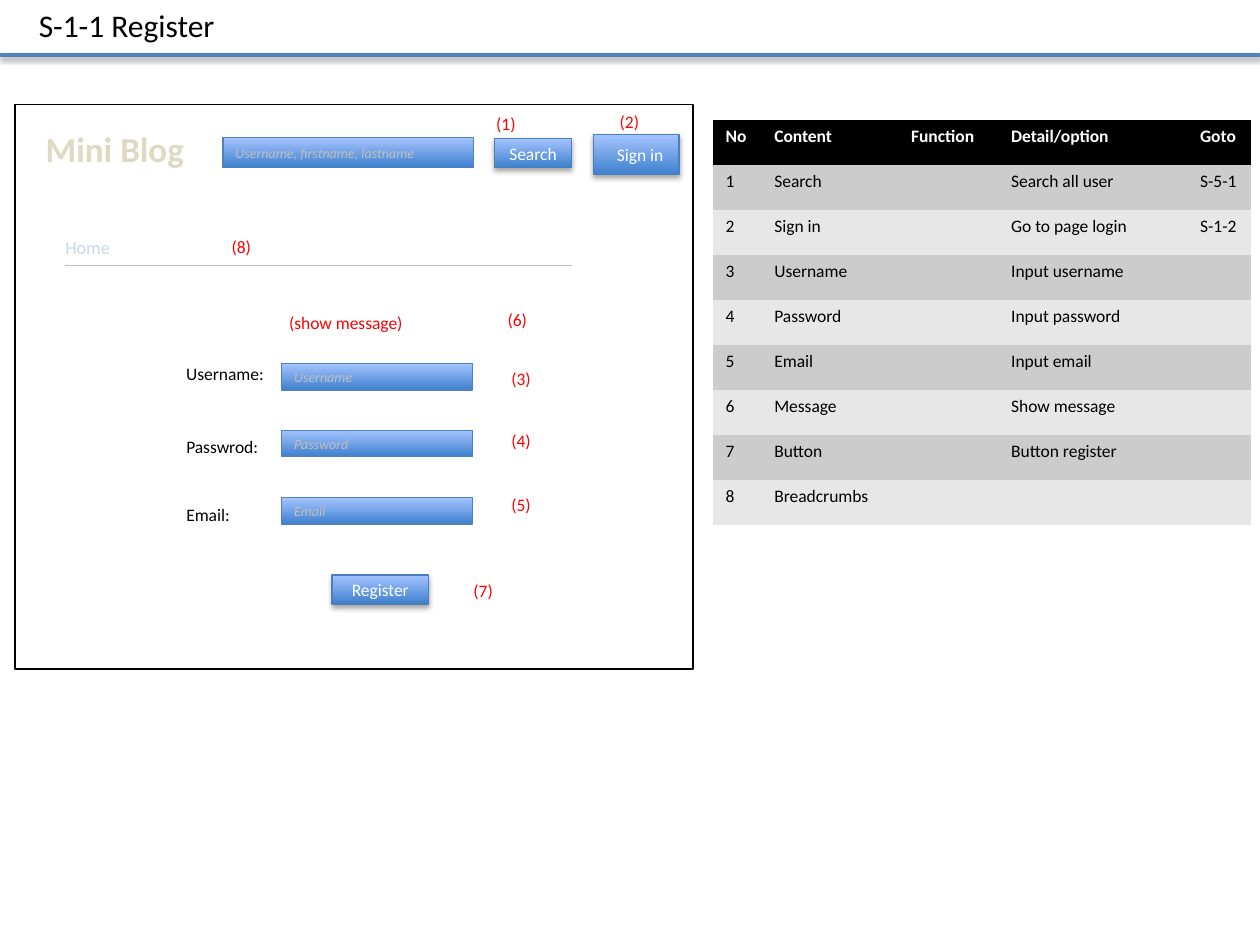
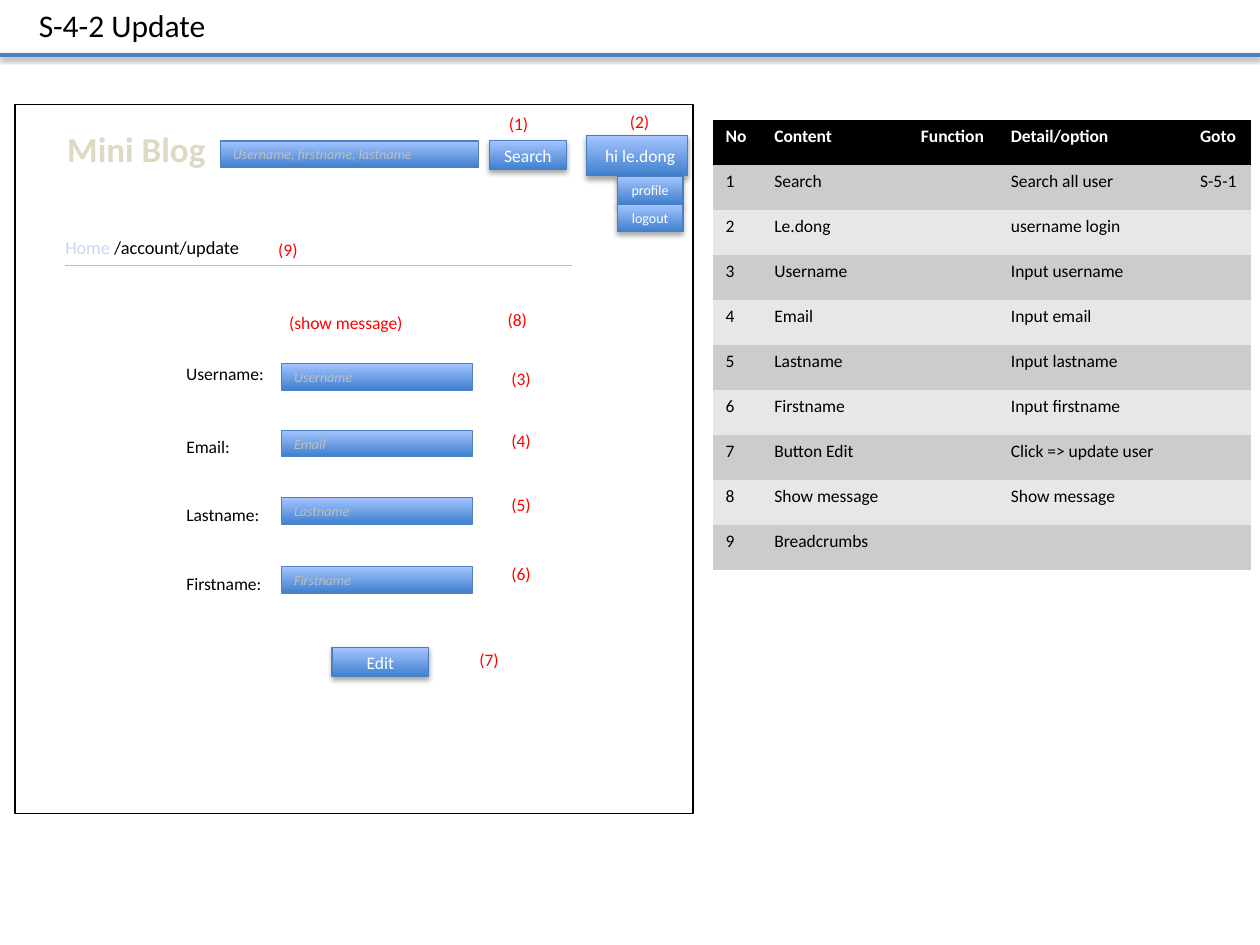
from lxml import etree
from pptx import Presentation
from pptx import util as u
from pptx.dml.color import RGBColor
from pptx.enum import shapes, text
from pptx.oxml.ns import qn

COLS, ROWS = 1000, 750  # the slide's grid
FONT = "Calibri"
INK = {
    "black": "000000", "white": "FFFFFF", "mark": "FF0000", "rule": "4F81BD",
    "edge": "4B7EBC", "deep": "3F80CE", "light": "A4C4FF", "hint": "BFBFBF",
    "link": "C6D9F1", "logo": "DDD9C3", "odd": "CCCCCC", "even": "E7E7E7",
}
LEFT, MID, RIGHT = text.PP_ALIGN.LEFT, text.PP_ALIGN.CENTER, text.PP_ALIGN.RIGHT
PLAIN = "{2D5ABB26-0587-4C30-8999-92F81FD0307C}"  # no style, no grid

deck = Presentation()
deck.slide_width, deck.slide_height = u.Inches(10), u.Inches(7.5)


def rgb(name):
    """Colour object for a named ink."""
    return RGBColor.from_string(INK[name])


def x(cols):
    """Length of a number of grid columns."""
    return int(deck.slide_width * cols / COLS)


def y(rows):
    """Length of a number of grid rows."""
    return int(deck.slide_height * rows / ROWS)


def place(box, left, top, wide=0, high=0):
    """Slide lengths of a part at a grid offset inside a box."""
    return x(box[0] + left), y(box[1] + top), x(wide), y(high)


def style(par, size, ink, bold=False, ital=False, align=LEFT):
    """Format every run of a paragraph."""
    par.alignment = align
    for run in par.runs:
        font = run.font
        font.name, font.size = FONT, u.Pt(size)
        font.bold, font.italic = bold, ital
        font.color.rgb = rgb(ink)


def shade(shape, dist=0, alpha=0):
    """Replace the theme shadow by a soft drop, or by none."""
    props = shape._element.spPr
    list_ = etree.SubElement(props, qn("a:effectLst"))
    if dist:
        drop = etree.SubElement(list_, qn("a:outerShdw"), blurRad=str(u.Pt(3.1)),
                                dist=str(u.Pt(dist)), dir="5400000", rotWithShape="0")
        tint = etree.SubElement(drop, qn("a:srgbClr"), val=INK["black"])
        etree.SubElement(tint, qn("a:alpha"), val=str(alpha * 1000))


def line(slide, box, left, top, wide, ink, size):
    """Draw a level line."""
    x0, y0, run, _ = place(box, left, top, wide)
    rule = slide.shapes.add_connector(shapes.MSO_CONNECTOR.STRAIGHT, x0, y0, x0 + run, y0)
    rule.line.color.rgb, rule.line.width = rgb(ink), u.Pt(size)
    return rule


def label(slide, box, words, left, top, wide, high=27, size=10, ink="black", bold=False):
    """Write one unwrapped line of text."""
    note = slide.shapes.add_textbox(*place(box, left, top, wide, high))
    frame = note.text_frame
    frame.text = words
    frame.word_wrap = False
    frame.auto_size = text.MSO_AUTO_SIZE.SHAPE_TO_FIT_TEXT
    style(frame.paragraphs[0], size, ink, bold)
    return frame.paragraphs[0]


def mark(slide, box, num, left, top):
    """Write a red call-out number."""
    label(slide, box, f"({num})", left, top, 36, ink="mark")


def block(slide, box, spot, edge):
    """Draw an outlined rectangle."""
    rect = slide.shapes.add_shape(shapes.MSO_SHAPE.RECTANGLE, *place(box, *spot))
    rect.line.color.rgb, rect.line.width = rgb(edge), u.Pt(0.75)
    return rect


def glossy(slide, box, words, spot, edge, **look):
    """Draw a rectangle with a blue gradient and one line of text."""
    rect = block(slide, box, spot, edge)
    rect.fill.gradient()
    rect.fill.gradient_angle = 90
    for stop, ink in zip(rect.fill.gradient_stops, ("deep", "light")):
        stop.color.rgb = rgb(ink)
    frame = rect.text_frame
    frame.text = words
    frame.word_wrap = True
    frame.vertical_anchor = text.MSO_ANCHOR.MIDDLE
    style(frame.paragraphs[0], **look)
    return rect


def field(slide, box, hint, *spot):
    """Draw an input with its grey hint."""
    shade(glossy(slide, box, hint, spot, "rule", size=8, ink="hint", ital=True))


def button(slide, box, words, spot, size=10, align=MID, inset=10):
    """Draw a raised button."""
    rect = glossy(slide, box, words, spot, "edge", size=size, ink="white", align=align)
    rect.text_frame.margin_left = x(inset)
    shade(rect, 1.8, 35)


def header(slide, box, words, wide):
    """Write the page title above its full-width rule."""
    shade(line(slide, box, 0, box[3], box[2], "rule", 2), 1.6, 38)
    label(slide, box, words, 21, 0, wide, 40, size=18)


def topbar(slide, box, page):
    """Place the blog name, search, account button and its menu."""
    label(slide, box, "Mini Blog", page["logo"], 13, 130, 43, 20, "logo", True)
    field(slide, box, "Username, firstname, lastname", *page["find"])
    button(slide, box, "Search", page["go"])
    words, spot, align, inset = page["user"]
    button(slide, box, words, spot, align=align, inset=inset)
    for num, (left, top) in enumerate(page["tops"], 1):
        mark(slide, box, num, left, top)
    for i, item in enumerate(page["menu"]):
        button(slide, box, item, (478, 57 + 22 * i, 52, 22), 8)


def crumbs(slide, box, page):
    """Place the breadcrumb over a thin line."""
    tail, wide, num, left, top = page["crumb"]
    shade(line(slide, box, 40, 127.4, 402, "hint", 0.25))
    par = label(slide, box, "Home", 30, 99.4, wide, 28, 10.5, "link")
    if tail:
        run = par.add_run()
        run.text = tail
        style(par, 10.5, "link")
        run.font.color.rgb = rgb("black")
    mark(slide, box, num, left, top)


def form(slide, box, page):
    """Place the message, the labelled inputs and the send button."""
    label(slide, box, "(show message)", 207.6, 159.4, 112, ink="mark")
    mark(slide, box, page["note"], 381, 157.5)
    # tops of the label, the input and the mark in each row
    tops = [(200, 205.6, 204), (258, 258.4, 253.5), (312, 312, 304), (367, 366.6, 359)]
    for i, ((name, wide, hint), (low, mid, high)) in enumerate(zip(page["form"], tops)):
        label(slide, box, name, 126, low, wide)
        field(slide, box, hint, 211.6, mid, 151.4, 21)
        mark(slide, box, 3 + i, 384, high)
    words, top, left, high = page["send"]
    button(slide, box, words, (251.6, top, 76.4, 23), 10)
    mark(slide, box, 7, left, high)


def mockup(slide, box, page):
    """Draw the framed screen sketch."""
    panel = block(slide, box, (0, 0, *box[2:]), "black")
    panel.fill.solid()
    panel.fill.fore_color.rgb = rgb("white")
    shade(panel)
    topbar(slide, box, page)
    crumbs(slide, box, page)
    form(slide, box, page)


def grid(slide, box, cols, body):
    """Place the table that explains the numbers."""
    head = ("No", "Content", "Function", "Detail/option", "Goto")
    rows = [head] + [(str(i), a, "", b, c) for i, (a, b, c) in enumerate(body, 1)]
    high = box[3] * len(rows)
    table = slide.shapes.add_table(len(rows), len(head), *place(box, 0, 0, box[2], high)).table
    table._tbl.tblPr.find(qn("a:tableStyleId")).text = PLAIN
    for col, wide in zip(table.columns, cols):
        col.width = x(wide)
    for i, row in enumerate(rows):
        table.rows[i].height = y(box[3])
        fill = ("even", "odd")[i % 2] if i else "black"
        for j, words in enumerate(row):
            cell = table.cell(i, j)
            cell.fill.solid()
            cell.fill.fore_color.rgb = rgb(fill)
            par = cell.text_frame.paragraphs[0]
            if words:
                par.text = words
                style(par, 10, "black" if i else "white", not i)
            else:  # keeps an empty cell from stretching its row
                etree.SubElement(par._p, qn("a:endParaRPr"), sz="1000")


PAGES = [
    {
        "title": ("S-1-1 Register", 162), "high": 448, "logo": 14.5,
        "find": (165, 26, 199, 24), "go": (380.5, 27, 61, 23),
        "user": ("Sign in", (459, 24, 68, 31.5), MID, 16),
        "tops": [(372, 2), (470, 0)], "menu": [],
        "crumb": ("", 56, 8, 162, 99.4), "note": 6,
        "form": [("Username:", 83, "Username"), ("Passwrod:", 79, "Password"),
                 ("Email:", 55, "Email")],
        "send": ("Register", 373.4, 354, 372.6),
        "cols": (38.6, 108.6, 79.4, 150, 50.4),
        "body": [("Search", "Search all user", "S-5-1"),
                 ("Sign in", "Go to page login", "S-1-2"),
                 ("Username", "Input username", ""),
                 ("Password", "Input password", ""),
                 ("Email", "Input email", ""),
                 ("Message", "Show message", ""),
                 ("Button", "Button register", ""),
                 ("Breadcrumbs", "", "")],
    },
    {
        "title": ("S-4-2 Update", 154), "high": 562.4, "logo": 31.5,
        "find": (163, 29, 205, 21), "go": (376.5, 28.6, 61, 23),
        "user": ("hi le.dong", (453.6, 24.6, 80, 32), RIGHT, 10),
        "tops": [(382, 2), (478, 0)], "menu": ["profile", "logout"],
        "crumb": (" /account/update", 167, 9, 199, 101.4), "note": 8,
        "form": [("Username:", 83, "Username"), ("Email:", 55, "Email"),
                 ("Lastname:", 79, "Lastname"), ("Firstname:", 81, "Firstname")],
        "send": ("Edit", 431, 358.6, 427),
        "cols": (38.6, 116.4, 71.4, 150.2, 50.4),
        "body": [("Search", "Search all user", "S-5-1"),
                 ("Le.dong", "username login", ""),
                 ("Username", "Input username", ""),
                 ("Email", "Input email", ""),
                 ("Lastname", "Input lastname", ""),
                 ("Firstname", "Input firstname", ""),
                 ("Button Edit", "Click => update user", ""),
                 ("Show message", "Show message", ""),
                 ("Breadcrumbs", "", "")],
    },
]

for page in PAGES:
    slide = deck.slides.add_slide(deck.slide_layouts[6])
    header(slide, (0, 0, COLS, 43.6), *page["title"])
    mockup(slide, (12, 83, 538, page["high"]), page)
    grid(slide, (566, 95, 427, 35.75), page["cols"], page["body"])

deck.save("out.pptx")
